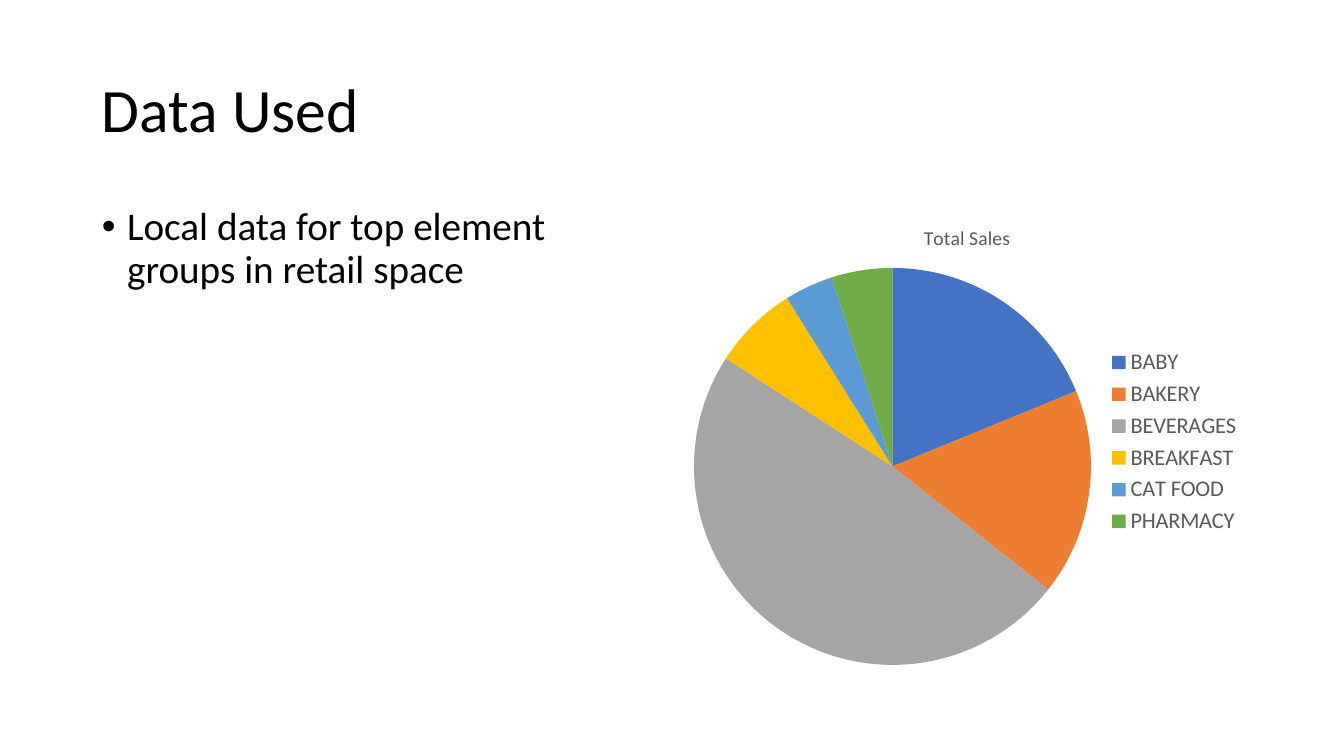
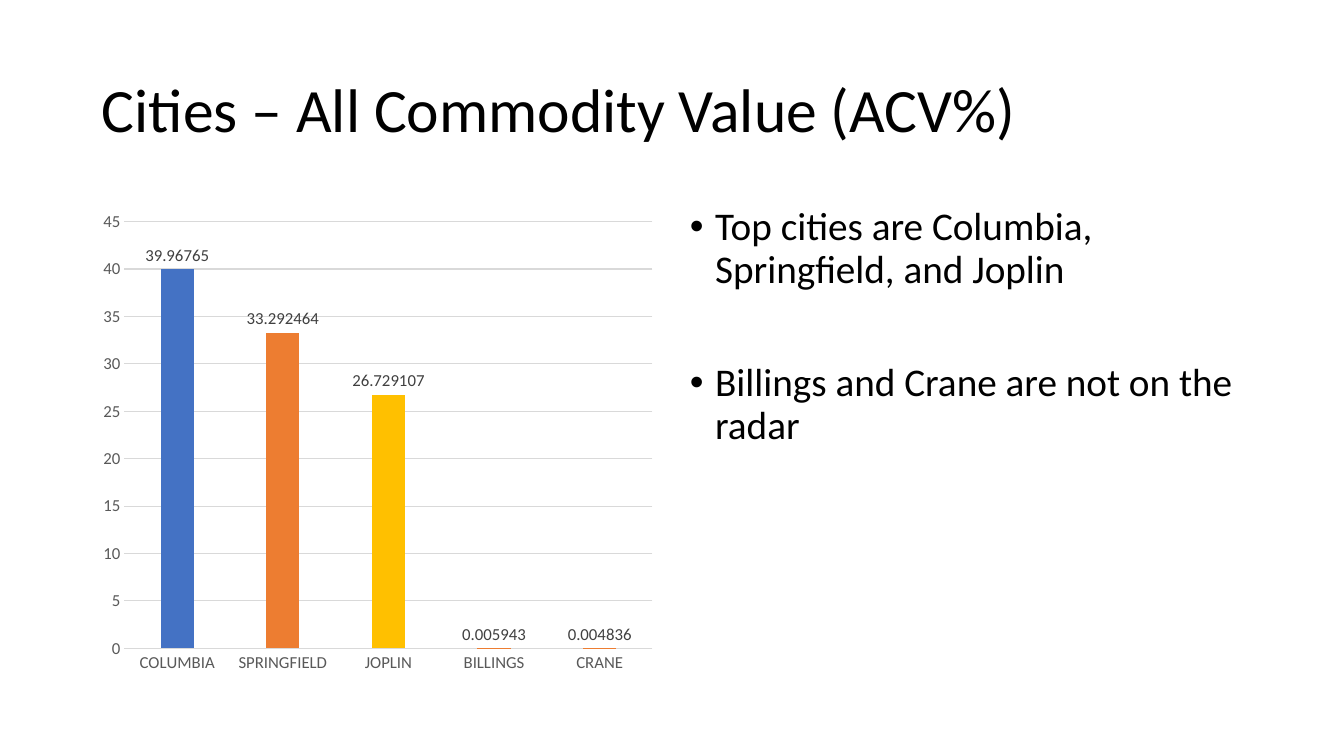
from dataclasses import dataclass
from typing import Any

from lxml import etree
from pptx import Presentation
from pptx.chart.data import CategoryChartData
from pptx.dml.color import RGBColor
from pptx.enum.chart import XL_CHART_TYPE, XL_LABEL_POSITION, XL_LEGEND_POSITION, XL_TICK_MARK
from pptx.enum.text import MSO_ANCHOR
from pptx.oxml.ns import qn
from pptx.util import Emu, Pt

PIE = XL_CHART_TYPE.PIE
COLUMN = XL_CHART_TYPE.COLUMN_CLUSTERED
ABOVE = XL_LABEL_POSITION.OUTSIDE_END
RIGHT = XL_LEGEND_POSITION.RIGHT
NO_TICK = XL_TICK_MARK.NONE
MIDDLE, TOP = MSO_ANCHOR.MIDDLE, MSO_ANCHOR.TOP

# Shared style
WIDE, HIGH = 1344, 756
SCALE = 12192000 / WIDE
FONT = "Calibri"
COLORS = {
    "ink": "000000", "label": "404040", "gray": "595959", "rule": "D9D9D9",
    "blue": "4472C4", "orange": "ED7D31", "silver": "A5A5A5",
    "gold": "FFC000", "sky": "5B9BD5", "green": "70AD47",
}


@dataclass(frozen=True)
class Box:
    left: int
    top: int
    width: int
    height: int

    def emu(self) -> list[Emu]:
        return [px(n) for n in (self.left, self.top, self.width, self.height)]


@dataclass(frozen=True)
class Graph:
    kind: Any
    box: Box
    values: dict[str, float]
    fills: list[str]


HEAD = Box(92, 40, 1159, 146)
LEFT_HALF = Box(92, 202, 572, 480)
RIGHT_HALF = Box(680, 202, 572, 480)


def px(count: float) -> Emu:
    return Emu(round(count * SCALE))


def color(name: str) -> RGBColor:
    return RGBColor.from_string(COLORS[name])


def style(font: Any, size: float, tint: str) -> None:
    font.name, font.size, font.bold = FONT, Pt(size), False
    font.color.rgb = color(tint)


# Text
def add_text(slide: Any, box: Box, *lines: str, size: float = 28, tint: str = "ink",
             anchor: Any = TOP, bullet: bool = False, before: float = 0, gap: float = 0) -> None:
    frame = slide.shapes.add_textbox(*box.emu()).text_frame
    frame.word_wrap = True
    frame.vertical_anchor = anchor
    for i, line in enumerate(lines):
        para = frame.add_paragraph() if i else frame.paragraphs[0]
        para.line_spacing = 0.9
        para.space_before = Pt(gap if i else before)
        run = para.add_run()
        run.text = line
        style(run.font, size, tint)
        if bullet:
            props = para._p.get_or_add_pPr()
            props.set("marL", "228600")
            props.set("indent", "-228600")
            etree.SubElement(props, qn("a:buFont")).set("typeface", "Arial")
            etree.SubElement(props, qn("a:buChar")).set("char", "•")


def add_title(slide: Any, line: str) -> None:
    add_text(slide, HEAD, line, size=44, anchor=MIDDLE)


def add_points(slide: Any, box: Box, *lines: str) -> None:
    add_text(slide, box, *lines, bullet=True, before=10, gap=51)


# Charts
def add_graph(slide: Any, graph: Graph) -> Any:
    data = CategoryChartData()
    data.categories = list(graph.values)
    data.add_series("Series 1", list(graph.values.values()))
    chart = slide.shapes.add_chart(graph.kind, *graph.box.emu(), data).chart
    style(chart.font, 10, "ink")
    chart.has_title = chart.has_legend = False
    plot = chart.plots[0]
    plot.vary_by_categories = graph.kind == PIE
    for i, name in enumerate(graph.fills):
        fill = plot.series[0].points[i].format.fill
        fill.solid()
        fill.fore_color.rgb = color(name)
    return chart


def place(node: Any, index: int, **parts: float) -> None:
    """Fix a chart part by its share of the chart area."""
    for old in node.findall(qn("c:layout")):
        node.remove(old)
    layout = etree.Element(qn("c:layout"))
    manual = etree.SubElement(layout, qn("c:manualLayout"))
    if "w" in parts:
        etree.SubElement(manual, qn("c:layoutTarget")).set("val", "inner")
    for key in ("x", "y"):
        etree.SubElement(manual, qn(f"c:{key}Mode")).set("val", "edge")
    for key, share in parts.items():
        etree.SubElement(manual, qn(f"c:{key}")).set("val", f"{share:.4f}")
    node.insert(index, layout)


def add_pie(slide: Any, graph: Graph, title: str, disc: Box) -> None:
    chart = add_graph(slide, graph)
    chart.has_title = True
    frame = chart.chart_title.text_frame
    frame.text = title
    style(frame.paragraphs[0].runs[0].font, 14, "gray")
    place(chart.chart_title._element, 1, x=0.42, y=0.04)
    box = graph.box
    place(chart._chartSpace.chart.plotArea, 0,
          x=(disc.left - box.left) / box.width, y=(disc.top - box.top) / box.height,
          w=disc.width / box.width, h=disc.height / box.height)
    chart.has_legend = True
    chart.legend.position = RIGHT
    chart.legend.include_in_layout = False
    style(chart.legend.font, 16, "gray")


def draw_rule(line: Any) -> None:
    line.color.rgb = color("rule")
    line.width = Pt(0.75)


def add_bars(slide: Any, graph: Graph, top: float, step: float) -> None:
    chart = add_graph(slide, graph)
    plot = chart.plots[0]
    plot.gap_width = 219
    plot.has_data_labels = True
    labels = plot.data_labels
    labels.show_value = True
    labels.position = ABOVE
    labels.number_format, labels.number_format_is_linked = "General", False
    style(labels.font, 12, "label")
    cats, vals = chart.category_axis, chart.value_axis
    for axis in (cats, vals):
        axis.major_tick_mark = axis.minor_tick_mark = NO_TICK
        style(axis.tick_labels.font, 12, "gray")
    draw_rule(cats.format.line)
    vals.format.line.fill.background()
    vals.has_major_gridlines = True
    draw_rule(vals.major_gridlines.format.line)
    vals.minimum_scale, vals.maximum_scale, vals.major_unit = 0, top, step


# Content
SALES = Graph(
    PIE, RIGHT_HALF,
    {"BABY": 19, "BAKERY": 17, "BEVERAGES": 49, "BREAKFAST": 7, "CAT FOOD": 4, "PHARMACY": 5},
    ["blue", "orange", "silver", "gold", "sky", "green"],
)
CITIES = Graph(
    COLUMN, LEFT_HALF,
    {"COLUMBIA": 39.96765, "SPRINGFIELD": 33.292464, "JOPLIN": 26.729107,
     "BILLINGS": 0.005943, "CRANE": 0.004836},
    ["blue", "orange", "gold", "orange", "orange"],
)

deck = Presentation()
deck.slide_width, deck.slide_height = px(WIDE), px(HIGH)
blank = deck.slide_layouts[6]

# Slide 1: data used
slide = deck.slides.add_slide(blank)
add_title(slide, "Data Used")
add_points(slide, LEFT_HALF, "Local data for top element groups in retail space")
add_pie(slide, SALES, "Total Sales", Box(694, 268, 397, 397))

# Slide 2: cities
slide = deck.slides.add_slide(blank)
add_title(slide, "Cities – All Commodity Value (ACV%)")
add_bars(slide, CITIES, top=45, step=5)
add_points(slide, RIGHT_HALF, "Top cities are Columbia, Springfield, and Joplin",
           "Billings and Crane are not on the radar")

deck.save("out.pptx")
